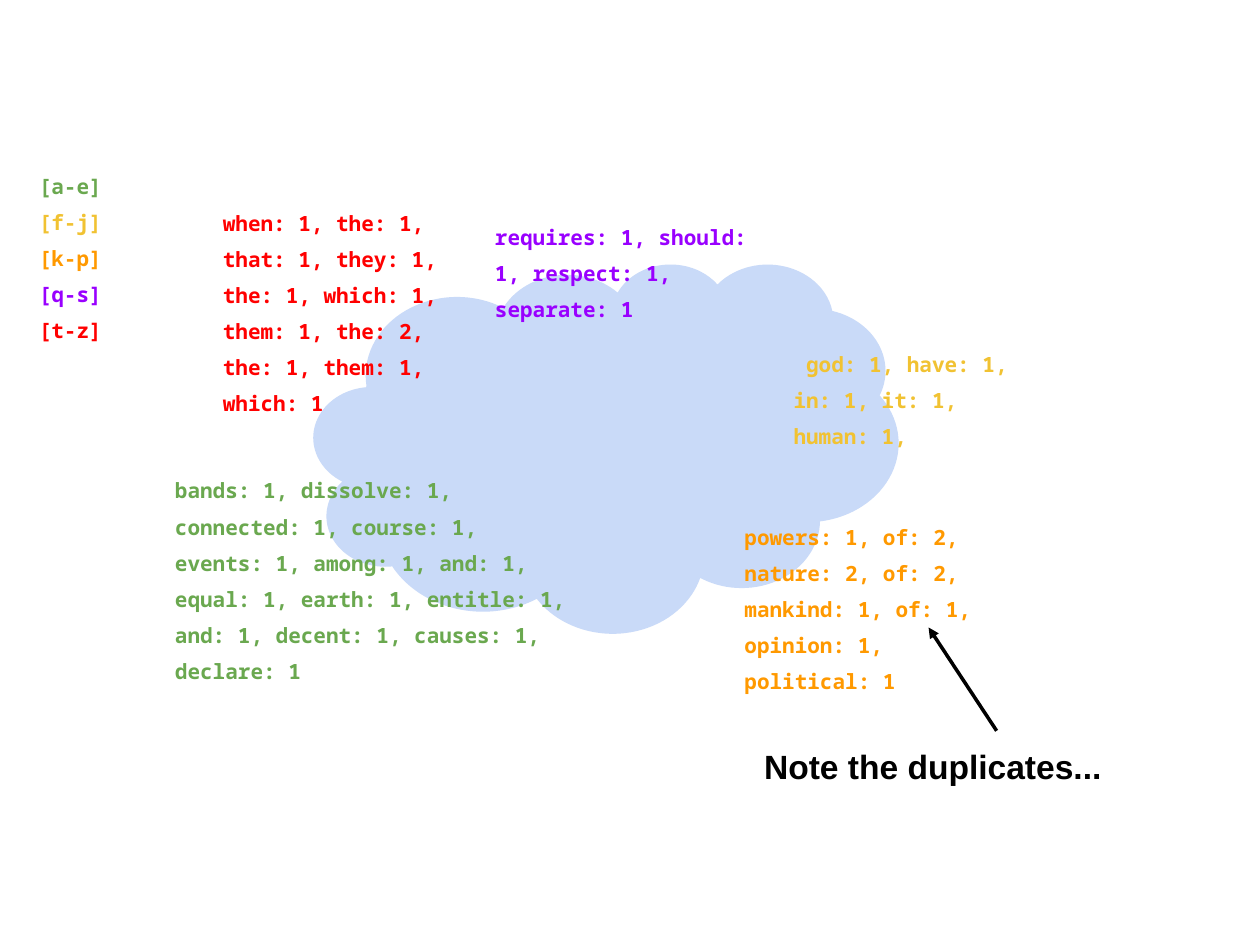
"""Build a slide of word counts spread over five key ranges around a cloud."""
from dataclasses import dataclass

from lxml.etree import SubElement
from pptx import Presentation
from pptx.dml.color import RGBColor
from pptx.enum.shapes import MSO_CONNECTOR as CONN, MSO_SHAPE as SHAPE
from pptx.enum.text import MSO_ANCHOR as ANCHOR, MSO_AUTO_SIZE as AUTO, PP_ALIGN as ALIGN
from pptx.oxml.ns import qn
from pptx.util import Inches, Pt

COLORS = {
    "green": "6AA84F", "yellow": "F1C232", "orange": "FF9900", "purple": "9900FF",
    "red": "FF0000", "black": "000000", "cloud": "C9DAF8",
}


@dataclass
class Label:
    """A text box whose lines are pairs of text and colour name."""
    at: tuple[float, float, float, float]
    lines: list[tuple[str, str]]
    font: str = "Noto Sans Mono"
    size: float = 12
    spacing: float = 1.43
    indent: float = 0
    bottom: float = 0.1
    align: ALIGN = ALIGN.LEFT
    anchor: ANCHOR = ANCHOR.MIDDLE
    fit: AUTO = AUTO.SHAPE_TO_FIT_TEXT


def lines(color: str, *texts: str) -> list[tuple[str, str]]:
    """Give every text the same colour."""
    return [(text, color) for text in texts]


LABELS = [
    Label((1.67, 1.6, 2.15, 1.69), lines(
        "red", "when: 1, the: 1, that: 1, they: 1, the: 1, which: 1, "
        "them: 1, the: 2, the: 1, them: 1, which: 1")),
    Label((1.29, 3.72, 3.48, 1.69), lines(
        "green", "bands: 1, dissolve: 1,", "connected: 1, course: 1,",
        "events: 1, among: 1, and: 1,", "equal: 1, earth: 1, entitle: 1,",
        "and: 1, decent: 1, causes: 1,", "declare: 1")),
    Label((5.81, 4.08, 2.15, 1.43), lines(
        "orange", "powers: 1, of: 2,", "nature: 2, of: 2,", "mankind: 1, of: 1,",
        "opinion: 1, political: 1")),
    Label((6.2, 2.68, 1.96, 0.9), lines(
        "yellow", "god: 1, have: 1, in: 1, it: 1, human: 1,"), indent=0.1),
    Label((3.83, 1.81, 2.44, 0.63), lines(
        "purple", "requires: 1, should: 1, respect: 1, separate: 1")),
    Label((5.79, 5.77, 3.23, 0.51), lines("black", "Note the duplicates..."),
          font="Arial", size=19.2, spacing=1.15, align=ALIGN.CENTER,
          anchor=ANCHOR.TOP, fit=AUTO.NONE),
    Label((0.21, 0.89, 0.83, 1.96), [
        ("[a-e]", "green"), ("[f-j]", "yellow"), ("[k-p]", "orange"),
        ("[q-s]", "purple"), ("[t-z]", "red")], anchor=ANCHOR.BOTTOM, bottom=0.13),
]


def rgb(name: str) -> RGBColor:
    """Look up a named colour."""
    return RGBColor.from_string(COLORS[name])


def add_cloud(s, at: tuple[float, float, float, float]) -> None:
    """Draw the pale cloud."""
    sp = s.shapes.add_shape(SHAPE.CLOUD, *map(Inches, at))
    sp.shadow.inherit = False
    sp.fill.solid()
    sp.fill.fore_color.rgb = rgb("cloud")
    sp.line.fill.background()


def add_label(s, label: Label) -> None:
    """Write one label, a paragraph for each line."""
    tf = s.shapes.add_textbox(*map(Inches, label.at)).text_frame
    tf.word_wrap = True
    tf.auto_size = label.fit
    tf.vertical_anchor = label.anchor
    tf.margin_left = tf.margin_right = tf.margin_top = Inches(0.1)
    tf.margin_bottom = Inches(label.bottom)
    for i, (text, color) in enumerate(label.lines):
        p = tf.add_paragraph() if i else tf.paragraphs[0]
        p.alignment = label.align
        p.line_spacing = label.spacing
        if label.indent:
            p._p.get_or_add_pPr().set("indent", str(Inches(label.indent)))
        r = p.add_run()
        r.text = text
        r.font.name = label.font
        r.font.size = Pt(label.size)
        r.font.bold = True
        r.font.color.rgb = rgb(color)


def add_arrow(s, start: tuple[float, float], end: tuple[float, float]) -> None:
    """Draw a black arrow with its head at the end point."""
    sp = s.shapes.add_connector(CONN.STRAIGHT, *map(Inches, start + end))
    sp.line.color.rgb = rgb("black")
    sp.line.width = Pt(2)
    SubElement(sp.line._get_or_add_ln(), qn("a:tailEnd"), type="triangle")
    SubElement(sp._element.spPr, qn("a:effectLst"))


def main() -> None:
    """Build and save the slide."""
    prs = Presentation()
    prs.slide_width, prs.slide_height = Inches(10), Inches(7.5)
    s = prs.slides.add_slide(prs.slide_layouts[6])
    add_cloud(s, (2.49, 2.09, 4.64, 2.93))
    for label in LABELS:
        add_label(s, label)
    add_arrow(s, (7.91, 5.8), (7.37, 4.98))
    prs.save("out.pptx")


if __name__ == "__main__":
    main()
